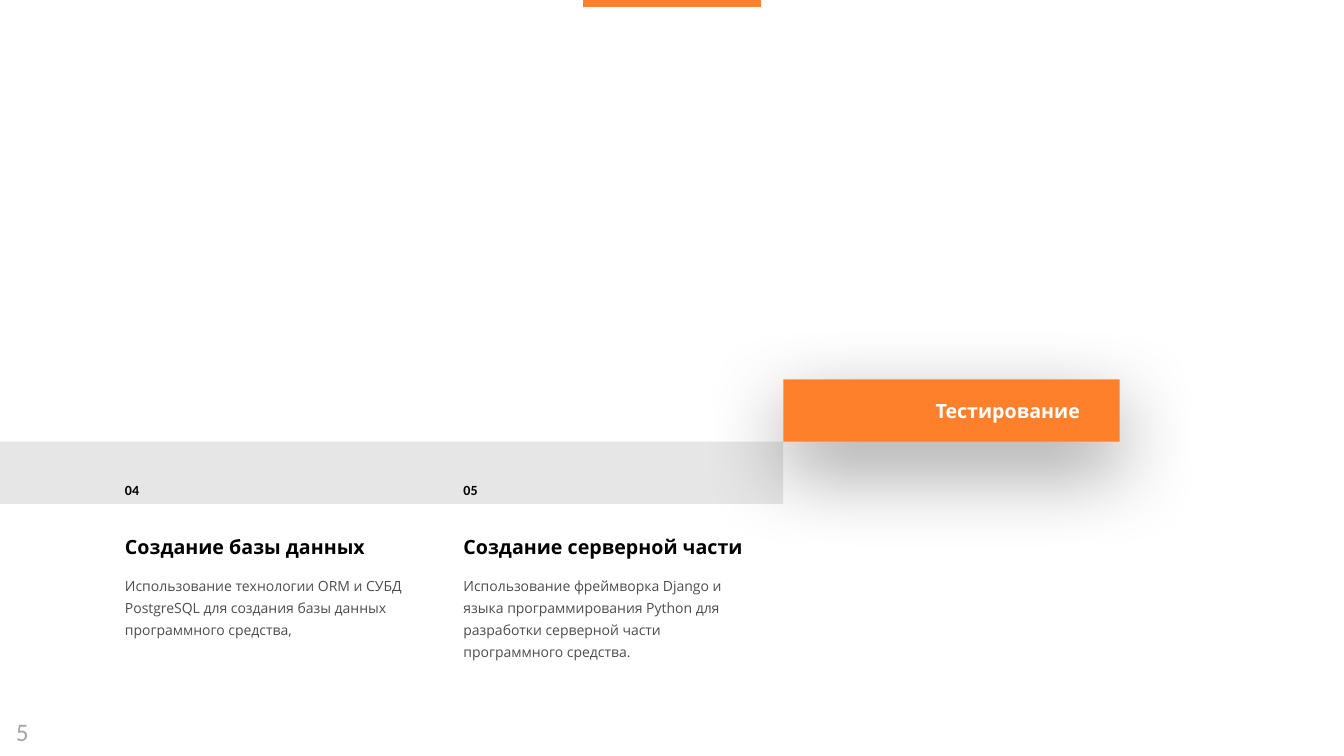
from lxml import etree
from pptx import Presentation
from pptx import util as u
from pptx.dml.color import RGBColor
from pptx.enum import shapes, text
from pptx.oxml.ns import qn

COLORS = {"accent": "FF802B", "band": "E7E6E6", "white": "FFFFFF",
          "heading": "000000", "body": "4D4D4D", "page": "A6A6A6"}
SLIDE_W, SLIDE_H = 33.87, 19.05
STEP_W, BAND_H = 8.48, 1.57
BAND_W, BAND_Y = 19.74, 11.13
STEP_X = 3.15

STEPS = [
    ("04", "Создание базы данных",
     "Использование технологии ORM и СУБД PostgreSQL для создания базы данных "
     "программного средства,"),
    ("05", "Создание серверной части",
     "Использование фреймворка Django и языка программирования Python для "
     "разработки серверной части программного средства."),
]


def rgb(name):
    return RGBColor.from_string(COLORS[name])


def style(p, size, color, font="Open Sans", bold=False, spacing=None):
    if spacing:
        p.line_spacing = spacing
    for r in p.runs:
        r.font.name, r.font.size, r.font.bold = font, u.Pt(size), bold
        r.font.color.rgb = rgb(color)


def set_margins(tf, left, top, right, bottom):
    tf.margin_left, tf.margin_top = u.Cm(left), u.Cm(top)
    tf.margin_right, tf.margin_bottom = u.Cm(right), u.Cm(bottom)


def add_text(slide, x, y, w, h, lines, margins, wrap=True):
    tf = slide.shapes.add_textbox(u.Cm(x), u.Cm(y), u.Cm(w), u.Cm(h)).text_frame
    tf.word_wrap = wrap
    set_margins(tf, *margins)
    tf.text = "\n".join(lines)
    return tf.paragraphs


def add_rect(slide, x, y, w, h, color):
    sp = slide.shapes.add_shape(shapes.MSO_SHAPE.RECTANGLE,
                                u.Cm(x), u.Cm(y), u.Cm(w), u.Cm(h))
    sp.shadow.inherit = False
    sp.fill.solid()
    sp.fill.fore_color.rgb = rgb(color)
    sp.line.fill.background()
    return sp


def add_step(slide, x, y, w, number, heading, body):
    """Number on the band, heading and description below it."""
    p, = add_text(slide, x, y + 0.81, 0.81, 0.69, [number],
                  (0, 0.1, 0.4, 0.1), wrap=False)
    style(p, 10, "heading", "Calibri", bold=True, spacing=1.2)

    title, detail = add_text(slide, x, y + 2.08, w, 3.3, [heading, body],
                             (0, 0.1, 0.6, 0.1))
    style(title, 14, "heading", bold=True, spacing=1.3)
    style(detail, 10, "body", spacing=1.3)
    detail.space_before = u.Pt(10)


def add_flag(slide, x, y, w, h, label):
    """Raised orange label with a soft shadow."""
    sp = add_rect(slide, x, y, w, h, "accent")
    effects = sp._element.spPr.find(qn("a:effectLst"))
    shadow = etree.SubElement(effects, qn("a:outerShdw"), blurRad=str(u.Pt(60)),
                              dist=str(u.Pt(20)), dir="5400000",
                              algn="t", rotWithShape="0")
    black = etree.SubElement(shadow, qn("a:srgbClr"), val="000000")
    etree.SubElement(black, qn("a:alpha"), val="40000")

    tf = sp.text_frame
    set_margins(tf, 0.25, 0.13, 1, 0.13)
    tf.vertical_anchor = text.MSO_ANCHOR.MIDDLE
    tf.text = label
    p = tf.paragraphs[0]
    p.alignment = text.PP_ALIGN.RIGHT
    style(p, 14, "white", bold=True)


def add_top_mark(slide, x, y, w):
    line = slide.shapes.add_connector(shapes.MSO_CONNECTOR.STRAIGHT,
                                      u.Cm(x), u.Cm(y), u.Cm(x + w), u.Cm(y))
    line.line.color.rgb = rgb("accent")
    line.line.width = u.Pt(5)
    etree.SubElement(line._element.spPr, qn("a:effectLst"))


def add_page_number(slide, x, y, w, h, number):
    p, = add_text(slide, x, y, w, h, [number], (0.25, 0.13, 0.25, 0.13),
                  wrap=False)
    style(p, 18, "page", "Calibri")


def main():
    prs = Presentation()
    prs.slide_width, prs.slide_height = u.Cm(SLIDE_W), u.Cm(SLIDE_H)
    slide = prs.slides.add_slide(prs.slide_layouts[6])

    # Timeline band with its steps
    add_rect(slide, 0, BAND_Y, BAND_W, BAND_H, "band")
    for i, step in enumerate(STEPS):
        add_step(slide, STEP_X + i * (STEP_W + 0.05), BAND_Y, 8.1, *step)

    # Final stage, one band height above
    add_flag(slide, BAND_W, BAND_Y - BAND_H, STEP_W, BAND_H, "Тестирование")

    # Slide furniture
    add_top_mark(slide, (SLIDE_W - 4.5) / 2, 0.08, 4.5)
    add_page_number(slide, 0.15, 17.93, 0.71, 1.02, "5")
    prs.save("out.pptx")


if __name__ == "__main__":
    main()
